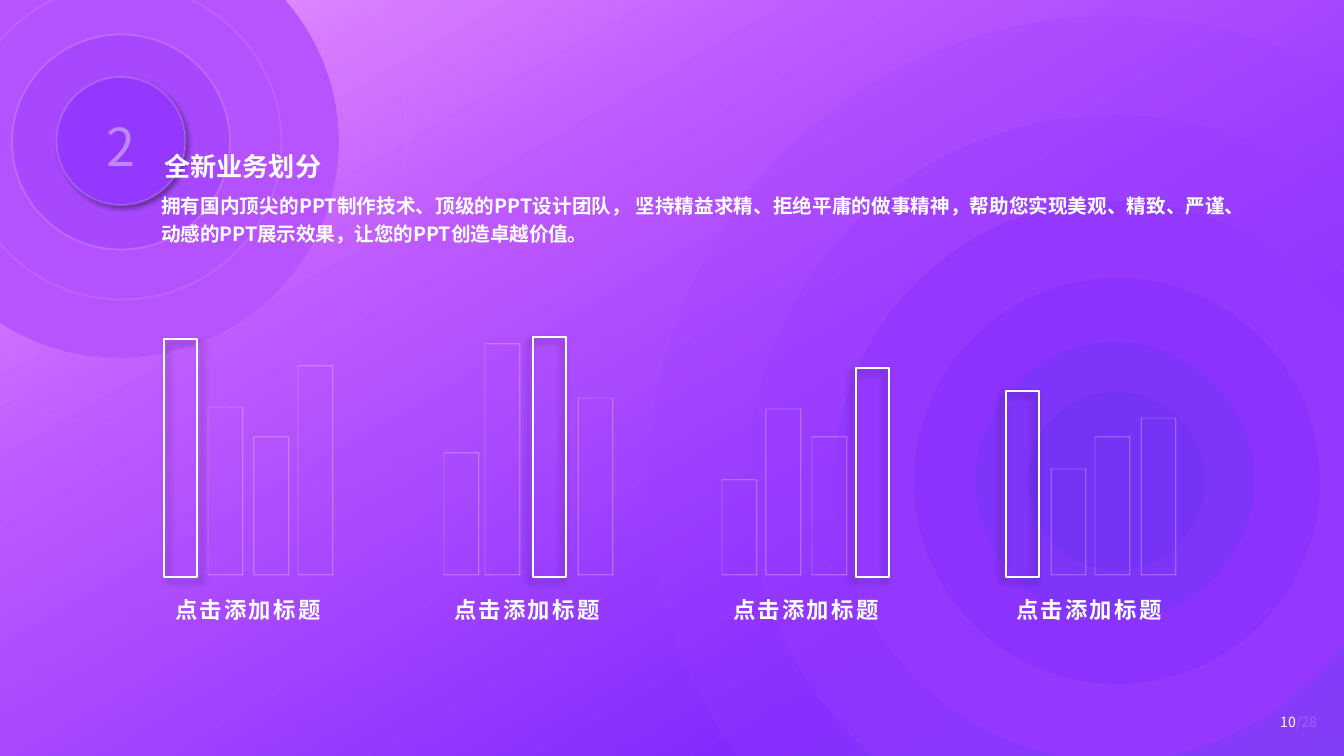
import pptx
import pptx.util
import pptx.dml.color
import pptx.enum.shapes
import pptx.enum.text
import pptx.oxml
import pptx.oxml.ns
import lxml.etree

PIXEL = 914400 / 134.4
THEME = {
    "font": "Noto Sans CJK SC",
    "white": "FFFFFF",
    "gradient": [(0, "ECA3FF"), (16, "D679FF"), (33, "BC58FF"), (77, "832BFF"), (100, "6D3FEF")],
    "number": 28, "heading": 14, "label": 12, "body": 10.5, "page": 7.5,
}
NAMESPACE = pptx.oxml.ns.nsdecls("a")
SHAPE = pptx.enum.shapes.MSO_SHAPE
ALIGN = pptx.enum.text.PP_ALIGN

deck = pptx.Presentation()
deck.slide_width = round(1344 * PIXEL)
deck.slide_height = round(756 * PIXEL)
page = deck.slides.add_slide(deck.slide_layouts[6])


def add_shape(kind, bounds, fill=None, fill_alpha=100, line=None, line_alpha=100, shadow=None):
    shape = page.shapes.add_shape(kind, *[round(value * PIXEL) for value in bounds])
    shape.shadow.inherit = False
    colours = []
    if fill:
        shape.fill.solid()
        shape.fill.fore_color.rgb = pptx.dml.color.RGBColor.from_string(fill)
        colours.append((shape.fill, fill_alpha))
    else:
        shape.fill.background()
    if line:
        shape.line.width = pptx.util.Pt(line)
        shape.line.fill.solid()
        shape.line.fill.fore_color.rgb = pptx.dml.color.RGBColor.from_string(THEME["white"])
        colours.append((shape.line.fill, line_alpha))
    else:
        shape.line.fill.background()
    properties = shape._element.spPr
    solids = list(properties.iter(pptx.oxml.ns.qn("a:solidFill")))
    for solid, (_, alpha) in zip(solids, colours):
        if alpha < 100:
            lxml.etree.SubElement(solid[0], pptx.oxml.ns.qn("a:alpha"), val=str(alpha * 1000))
    if shadow:
        blur, distance, angle = shadow
        effects = properties.find(pptx.oxml.ns.qn("a:effectLst"))
        effects.append(pptx.oxml.parse_xml(
            f'<a:outerShdw {NAMESPACE} blurRad="{blur * 12700}" dist="{distance * 12700}" '
            f'dir="{angle * 60000}" algn="ctr" rotWithShape="0">'
            '<a:srgbClr val="000000"><a:alpha val="40000"/></a:srgbClr></a:outerShdw>'))
    return shape


def add_text(spans, bounds, size, bold=False, align=ALIGN.LEFT, wrap=True, line_spacing=None, tracking=0):
    box = page.shapes.add_textbox(*[round(value * PIXEL) for value in bounds])
    box.text_frame.word_wrap = wrap
    para = box.text_frame.paragraphs[0]
    para.alignment = align
    if line_spacing:
        para.line_spacing = line_spacing
    for text, alpha in spans:
        span = para.add_run()
        span.text = text
        span.font.size = pptx.util.Pt(size)
        span.font.bold = bold
        span.font.name = THEME["font"]
        span.font.color.rgb = pptx.dml.color.RGBColor.from_string(THEME["white"])
        properties = span._r.get_or_add_rPr()
        if tracking:
            properties.set("spc", str(round(tracking * 100)))
        if alpha < 100:
            colour = properties.find(".//" + pptx.oxml.ns.qn("a:srgbClr"))
            lxml.etree.SubElement(colour, pptx.oxml.ns.qn("a:alpha"), val=str(alpha * 1000))
        east_asian = lxml.etree.Element(pptx.oxml.ns.qn("a:ea"), typeface=THEME["font"])
        properties.find(pptx.oxml.ns.qn("a:latin")).addnext(east_asian)


backdrop = add_shape(SHAPE.RECTANGLE, (0, 0, 1344, 756))
stops = "".join(f'<a:gs pos="{position * 1000}"><a:srgbClr val="{colour}"/></a:gs>'
                for position, colour in THEME["gradient"])
no_fill = backdrop._element.spPr.find(pptx.oxml.ns.qn("a:noFill"))
no_fill.getparent().replace(no_fill, pptx.oxml.parse_xml(
    f'<a:gradFill {NAMESPACE} rotWithShape="1"><a:gsLst>{stops}</a:gsLst>'
    '<a:lin ang="3600000" scaled="0"/></a:gradFill>'))

for center_x, center_y, width, height, fill, line_alpha, shadow in [
    (120, 142, 438, 433, "B754FF", 4, None),
    (122, 142, 319, 315, "B452FF", 9, None),
    (121, 142, 218, 215, "A748FF", 16, None),
    (121, 141, 129, 128, "9438FF", 18, (3, 2, 45)),
    (119, 140, 574, 567, None, 2, None),
]:
    add_shape(SHAPE.OVAL, (center_x - width / 2, center_y - height / 2, width, height),
              fill=fill, line=1, line_alpha=line_alpha, shadow=shadow)
add_text([("2", 40)], (93, 108, 40, 101), THEME["number"], tracking=6)

for center_x, radius, fill, alpha in [
    (1113, 465, "9C3FFF", 20), (1114, 366, "993CFF", 40), (1114, 280, "9438FF", 100),
    (1117, 203, "872EFF", 60), (1115, 139, "7736F6", 60), (1116, 89, "6933F1", 40),
]:
    add_shape(SHAPE.OVAL, (center_x - radius, 481 - radius, 2 * radius, 2 * radius),
              fill=fill, fill_alpha=alpha)

add_text([("拥有国内顶尖的PPT制作技术、顶级的PPT设计团队， 坚持精益求精、拒绝平庸的做事精神，"
           "帮助您实现美观、精致、严谨、动感的PPT展示效果，让您的PPT创造卓越价值。", 100)],
         (148, 183, 1111, 69), THEME["body"], bold=True, align=ALIGN.JUSTIFY, line_spacing=1.2)
add_text([("全新业务划分", 100)], (151, 128, 185, 60), THEME["heading"],
         bold=True, wrap=False, line_spacing=1.5)

for label_left, highlight, shadow_angle, bars in [
    (160, 0, 45, [(164, 339), (208, 407), (254, 437), (298, 366)]),
    (439, 2, 135, [(444, 453), (485, 344), (533, 337), (578, 398)]),
    (718, 3, 135, [(722, 480), (766, 409), (812, 437), (856, 368)]),
    (1001, 0, 135, [(1006, 391), (1051, 469), (1095, 437), (1141, 418)]),
]:
    for index, (left, top) in enumerate(bars):
        if index == highlight:
            add_shape(SHAPE.RECTANGLE, (left, top, 33, 577 - top), line=1, shadow=(4, 3, shadow_angle))
        else:
            add_shape(SHAPE.RECTANGLE, (left, top, 35, 575 - top), line=0.25, line_alpha=70)
    add_text([("点击添加标题", 100)], (label_left, 590, 176, 40), THEME["label"],
             bold=True, align=ALIGN.CENTER, wrap=False, tracking=1.2)

add_text([("10", 100), ("/28", 20)], (1267, 707, 73, 31), THEME["page"])

deck.save("out.pptx")
